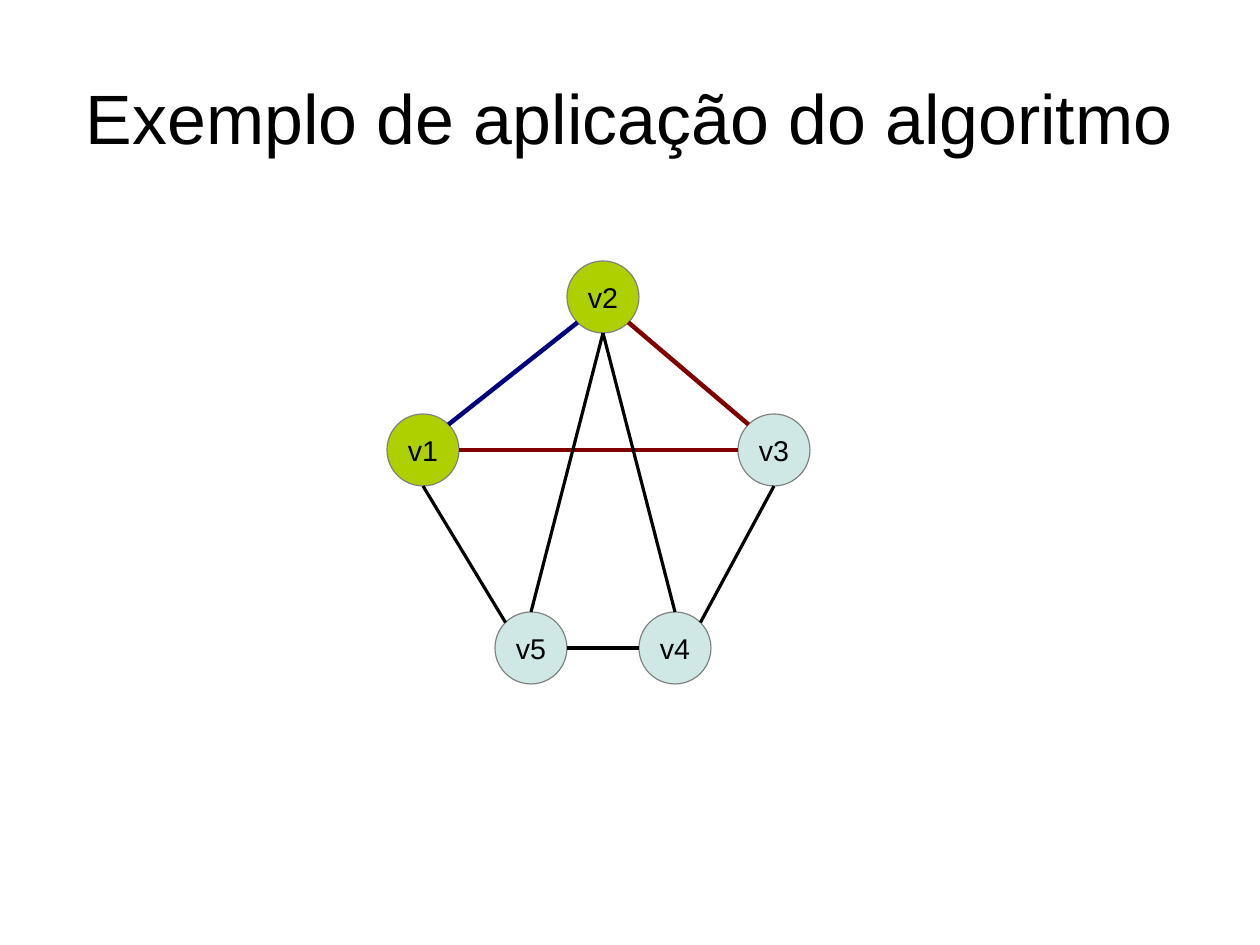
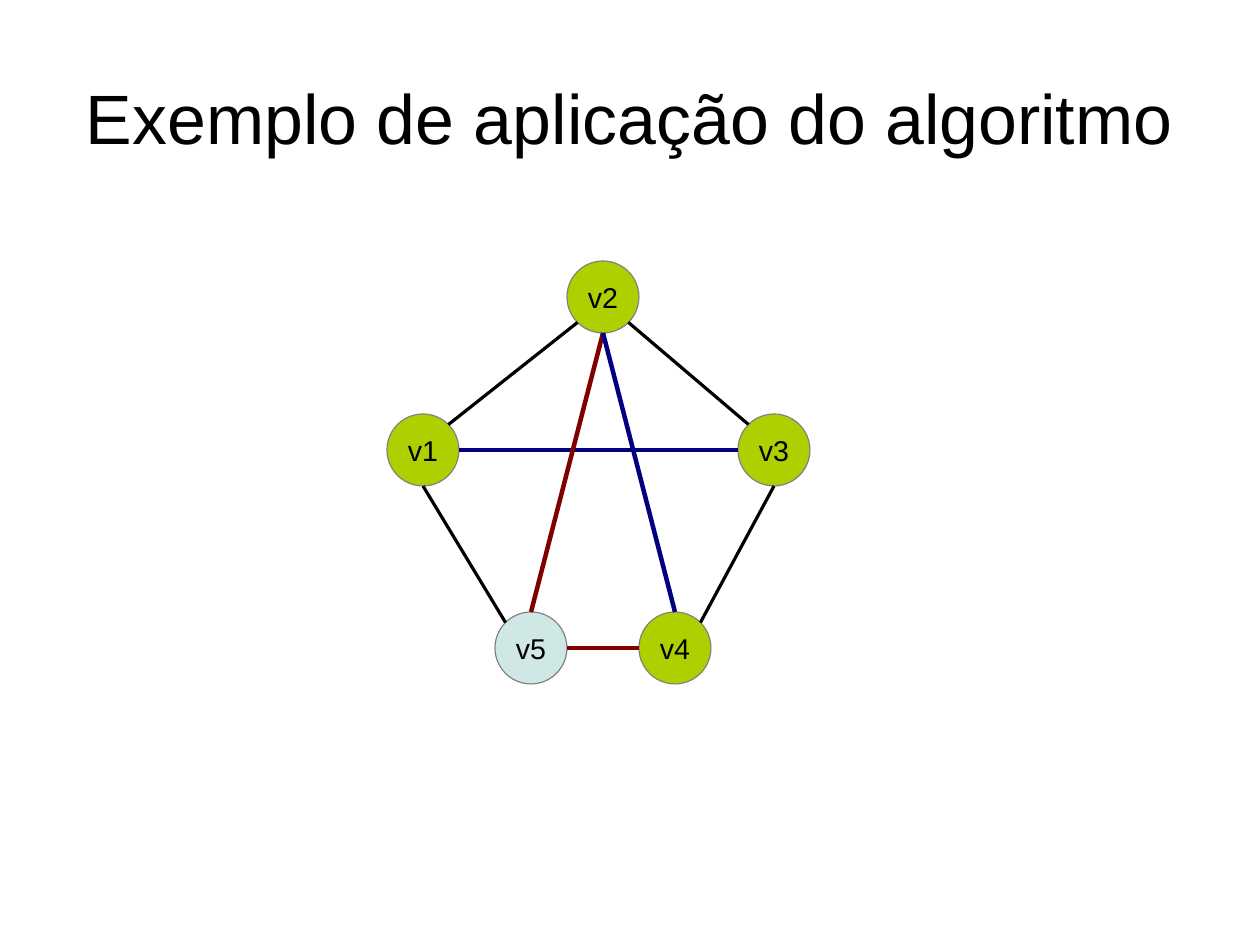
import math
from lxml import etree
from pptx import Presentation
from pptx import util as u
from pptx.dml.color import RGBColor
from pptx.enum import shapes, text
from pptx.oxml.ns import qn

TITLE = "Exemplo de aplicação do algoritmo"
DIAMETER = 1.6
NODES = {"v1": (9.4, 10), "v2": (13.4, 6.6), "v5": (11.8, 14.4),
         "v4": (15, 14.4), "v3": (17.2, 10)}
ANGLES = {"right": 0, "lower right": 45, "bottom": 90, "lower left": 135,
          "left": 180, "upper left": 225, "top": 270, "upper right": 315}
EDGES = [("v1", "upper right", "v2", "lower left"),
         ("v2", "lower right", "v3", "upper left"),
         ("v3", "bottom", "v4", "upper right"),
         ("v1", "bottom", "v5", "upper left"),
         ("v5", "right", "v4", "left"),
         ("v1", "right", "v3", "left"),
         ("v2", "bottom", "v5", "top"),
         ("v2", "bottom", "v4", "top")]
STEPS = [
    {"visited": {"v1", "v2"},
     "tree": {("v1", "v2")},
     "candidates": {("v2", "v3"), ("v1", "v3")}},
    {"visited": {"v1", "v2", "v3", "v4"},
     "tree": {("v1", "v3"), ("v2", "v4")},
     "candidates": {("v5", "v4"), ("v2", "v5")}},
]


def rgb(value):
    return RGBColor.from_string(value)


def write(tf, content, size, color="000000", font="Arial", wrap=True, margins=(0, 0)):
    tf.word_wrap = wrap
    tf.vertical_anchor = text.MSO_ANCHOR.MIDDLE
    tf.margin_left = tf.margin_right = u.Cm(margins[0])
    tf.margin_top = tf.margin_bottom = u.Cm(margins[1])
    p = tf.paragraphs[0]
    p.alignment = text.PP_ALIGN.CENTER
    r = p.add_run()
    r.text = content
    r.font.name = font
    r.font.size = u.Pt(size)
    r.font.color.rgb = rgb(color)


def site(node, side):
    x, y = NODES[node]
    angle = math.radians(ANGLES[side])
    return x + DIAMETER / 2 * math.cos(angle), y + DIAMETER / 2 * math.sin(angle)


class Deck:
    visited, unvisited, outline = "AECF00", "CFE7E5", "808080"
    tree, candidate, plain = "000080", "800000", "000000"
    thick, hairline = 2.83, 0

    def __init__(self):
        self.prs = Presentation()
        self.prs.slide_width, self.prs.slide_height = u.Cm(28), u.Cm(21)

    def slide(self):
        self.s = self.prs.slides.add_slide(self.prs.slide_layouts[6])

    def title(self, content):
        sp = self.s.shapes.add_textbox(u.Cm(1.4), u.Cm(0.84), u.Cm(25.2), u.Cm(3.5))
        write(sp.text_frame, content, 44)

    def node(self, name, fill):
        x, y = NODES[name]
        sp = self.s.shapes.add_shape(
            shapes.MSO_SHAPE.OVAL, u.Cm(x - DIAMETER / 2), u.Cm(y - DIAMETER / 2),
            u.Cm(DIAMETER), u.Cm(DIAMETER))
        sp.shadow.inherit = False
        sp.fill.solid()
        sp.fill.fore_color.rgb = rgb(fill)
        sp.line.color.rgb = rgb(self.outline)
        sp.line.width = u.Pt(self.hairline)
        write(sp.text_frame, name, 18, wrap=False, margins=(0.25, 0.13))

    def edge(self, start, end, color, width):
        points = [u.Cm(v) for v in (*start, *end)]
        line = self.s.shapes.add_connector(shapes.MSO_CONNECTOR.STRAIGHT, *points)
        line.line.color.rgb = rgb(color)
        line.line.width = u.Pt(width)
        etree.SubElement(line._element.spPr, qn("a:effectLst"))

    def graph(self, visited, tree, candidates):
        for name in NODES:
            self.node(name, self.visited if name in visited else self.unvisited)
        for a, a_side, b, b_side in EDGES:
            color, width = self.plain, self.hairline
            if (a, b) in tree:
                color, width = self.tree, self.thick
            elif (a, b) in candidates:
                color, width = self.candidate, self.thick
            self.edge(site(a, a_side), site(b, b_side), color, width)


def main():
    deck = Deck()
    for step in STEPS:
        deck.slide()
        deck.graph(**step)
        deck.title(TITLE)
    deck.prs.save("out.pptx")


if __name__ == "__main__":
    main()
